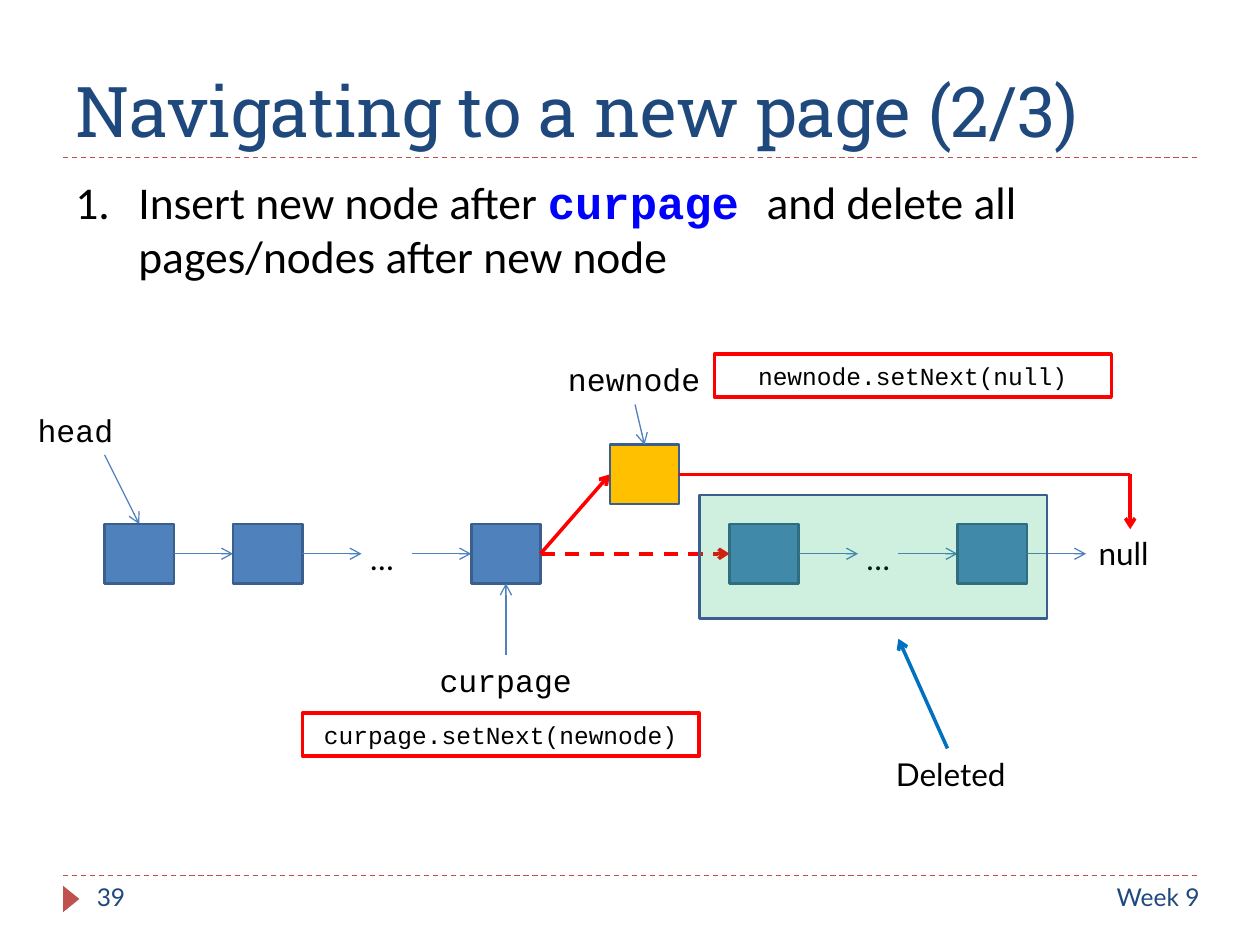
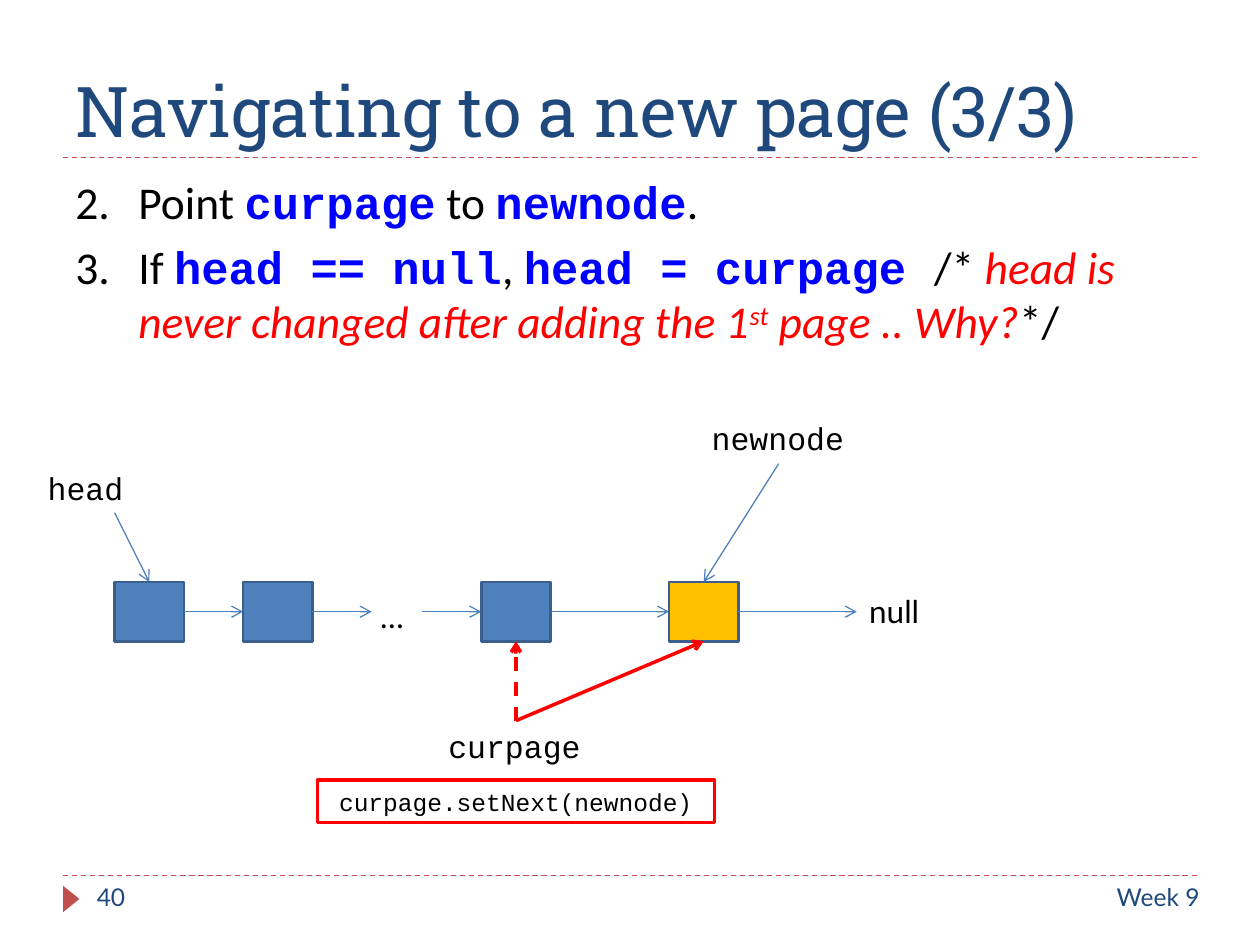
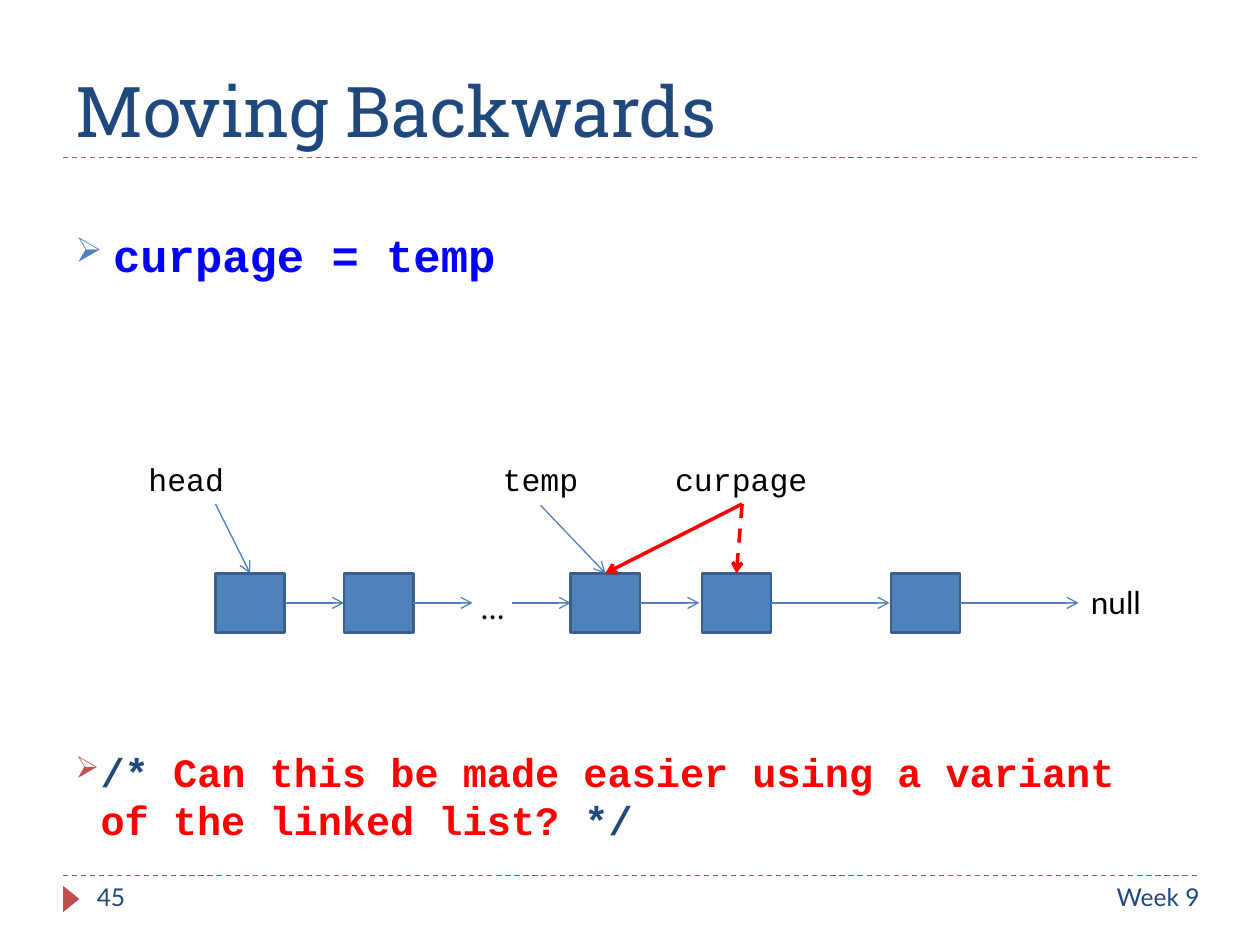
from dataclasses import dataclass

from lxml.etree import SubElement
from pptx import Presentation
from pptx.dml.color import RGBColor
from pptx.enum.dml import MSO_LINE
from pptx.enum.shapes import MSO_CONNECTOR, MSO_SHAPE
from pptx.enum.text import MSO_ANCHOR, MSO_AUTO_SIZE, PP_ALIGN
from pptx.oxml.ns import qn
from pptx.util import Inches, Pt


@dataclass(frozen=True)
class Theme:
    # Colours
    navy: str = "1F497D"
    brick: str = "C0504D"
    blue: str = "4F81BD"
    outline: str = "3A5F8C"
    amber: str = "FFC000"
    green: str = "00B050"
    sky: str = "0070C0"
    red: str = "FF0000"
    code_blue: str = "0000FF"
    black: str = "000000"
    # Fonts
    title_font: str = "Roboto Slab"
    body_font: str = "Calibri"
    code_font: str = "Courier New"
    label_font: str = "Lato"
    # Type sizes
    title_size: int = 40
    body_size: int = 26
    question_size: int = 23
    label_size: int = 18
    small_size: int = 14


THEME = Theme()
NODE_WIDTH, NODE_HEIGHT = 0.55, 0.47
MIDDLE = NODE_HEIGHT / 2
GAP = 0.47          # short arrow between neighbouring nodes
LONG_GAP = 0.94
LABEL_WIDTH, LABEL_HEIGHT = 1.26, 0.4


# ---- Text -------------------------------------------------------------

def add_run(paragraph, text, font, size, color, bold=False, italic=False,
            superscript=False):
    run = paragraph.add_run()
    run.text = text
    run.font.name = font
    run.font.size = Pt(size)
    run.font.bold = bold
    run.font.italic = italic
    run.font.color.rgb = RGBColor.from_string(color)
    if superscript:
        run._r.get_or_add_rPr().set("baseline", "30000")


def add_plain(paragraph, text, **options):
    style = {"color": THEME.black, "size": THEME.body_size, **options}
    add_run(paragraph, text, THEME.body_font, **style)


def add_code(paragraph, text, color=THEME.code_blue, size=THEME.body_size):
    add_run(paragraph, text, THEME.code_font, size, color, bold=True)


def add_text_box(slide, left, top, width, height, align=PP_ALIGN.LEFT):
    box = slide.shapes.add_textbox(Inches(left), Inches(top), Inches(width), Inches(height))
    box.text_frame.word_wrap = True
    box.text_frame.paragraphs[0].alignment = align
    return box.text_frame


def add_label(slide, text, left, top, width=LABEL_WIDTH, font=THEME.code_font,
              align=PP_ALIGN.LEFT):
    frame = add_text_box(slide, left, top, width, LABEL_HEIGHT, align)
    frame.auto_size = MSO_AUTO_SIZE.SHAPE_TO_FIT_TEXT
    add_run(frame.paragraphs[0], text, font, THEME.label_size, THEME.black)


def indent_paragraph(paragraph, indent, space_before):
    paragraph.space_before = Pt(space_before)
    properties = paragraph._p.get_or_add_pPr()
    properties.set("marL", str(Inches(indent)))
    properties.set("indent", str(-Inches(indent)))
    return properties


def number_paragraph(paragraph, start):
    properties = indent_paragraph(paragraph, 0.5, 6)
    SubElement(properties, qn("a:buFont"), typeface=THEME.body_font)
    SubElement(properties, qn("a:buAutoNum"), type="arabicPeriod", startAt=str(start))


def bullet_paragraph(paragraph, indent, space_before, color):
    properties = indent_paragraph(paragraph, indent, space_before)
    bullet_color = SubElement(properties, qn("a:buClr"))
    SubElement(bullet_color, qn("a:srgbClr"), val=color)
    SubElement(properties, qn("a:buSzPct"), val="76000")
    SubElement(properties, qn("a:buChar"), char="➢")


# ---- Shapes and lines ---------------------------------------------------

def add_box(slide, left, top, width, height, fill=None, line=THEME.outline, weight=1.5,
            kind=MSO_SHAPE.RECTANGLE):
    shape = slide.shapes.add_shape(kind, Inches(left), Inches(top), Inches(width), Inches(height))
    shape.shadow.inherit = False
    if fill:
        shape.fill.solid()
        shape.fill.fore_color.rgb = RGBColor.from_string(fill)
    else:
        shape.fill.background()
    if line:
        shape.line.color.rgb = RGBColor.from_string(line)
        shape.line.width = Pt(weight)
    else:
        shape.line.fill.background()
    return shape


def add_node(slide, left, top, fill=THEME.blue):
    add_box(slide, left, top, NODE_WIDTH, NODE_HEIGHT, fill)


def add_line(slide, start, end, color=THEME.blue, weight=0.75, dashed=False, arrow=True):
    line = slide.shapes.add_connector(
        MSO_CONNECTOR.STRAIGHT, *(Inches(value) for value in (*start, *end)))
    line.line.color.rgb = RGBColor.from_string(color)
    line.line.width = Pt(weight)
    if dashed:
        line.line.dash_style = MSO_LINE.DASH
    if arrow:
        SubElement(line.line._get_or_add_ln(), qn("a:tailEnd"), type="arrow")
    SubElement(line._element.spPr, qn("a:effectLst"))


def add_change(slide, start, end, color=THEME.red, **options):
    """Heavy arrow for a link that changes."""
    add_line(slide, start, end, color, 2, **options)


def add_call(slide, text, left, top):
    """Red frame around one line of code."""
    shape = add_box(slide, left, top, 3.15, 0.34, line=THEME.red, weight=2)
    frame = shape.text_frame
    frame.word_wrap = True
    frame.auto_size = MSO_AUTO_SIZE.SHAPE_TO_FIT_TEXT
    paragraph = frame.paragraphs[0]
    paragraph.alignment = PP_ALIGN.CENTER
    add_run(paragraph, text, THEME.code_font, THEME.small_size, THEME.black)


# ---- Linked list parts -----------------------------------------------------

def add_link(slide, left, top, length=GAP):
    """Arrow leaving the right side of the node at left, top."""
    start = left + NODE_WIDTH
    add_line(slide, (start, top + MIDDLE), (start + length, top + MIDDLE))


def add_elided_pair(slide, left, top, next_left):
    """Two nodes with an ellipsis between them."""
    add_node(slide, left, top)
    add_link(slide, left, top)
    add_label(slide, "…", left + 0.47, top + 0.07, 1.42, THEME.label_font, PP_ALIGN.CENTER)
    add_link(slide, next_left - GAP - NODE_WIDTH, top)
    add_node(slide, next_left, top)


def add_list_start(slide, left, top, third_left):
    """Head label, first two nodes, ellipsis and the next node."""
    second_left = left + NODE_WIDTH + GAP
    add_label(slide, "head", left - 0.63, top - 0.95)
    add_line(slide, (left, top - 0.55), (left + NODE_WIDTH / 2, top))
    add_node(slide, left, top)
    add_link(slide, left, top)
    add_elided_pair(slide, second_left, top, third_left)


def add_list_end(slide, left, top, length):
    """Arrow from the last node to null."""
    add_link(slide, left, top, length)
    add_label(slide, "null", left + NODE_WIDTH + length, top + 0.03, 0.69, THEME.label_font)


# ---- Slide frame ----------------------------------------------------------

def add_frame(presentation, title, number):
    slide = presentation.slides.add_slide(presentation.slide_layouts[6])
    # Rules and footer marker
    for height in (6.95, 1.25):
        add_line(slide, (0.5, height), (9.5, height), THEME.brick, dashed=True, arrow=False)
    marker = add_box(slide, 0.46, 7.07, 0.21, 0.13, THEME.brick, None,
                     kind=MSO_SHAPE.ISOSCELES_TRIANGLE)
    marker.rotation = 90
    # Title
    frame = add_text_box(slide, 0.5, 0.17, 9, 1.08)
    frame.vertical_anchor = MSO_ANCHOR.BOTTOM
    add_run(frame.paragraphs[0], title, THEME.title_font, THEME.title_size, THEME.navy)
    # Footer
    for text, left, width, align in ((number, 0.67, 2.17, PP_ALIGN.LEFT),
                                     ("Week 9", 5.79, 3.83, PP_ALIGN.RIGHT)):
        footer = add_text_box(slide, left, 6.95, width, 0.4, align)
        add_run(footer.paragraphs[0], text, THEME.label_font, THEME.small_size, THEME.navy)
    return slide


# ---- Inserting the new node -------------------------------------------------

def draw_insertion(slide, left, top):
    middle = top + MIDDLE
    current, new, first_deleted, last = (left + x for x in (2.91, 4.01, 4.96, 6.77))
    new_top = top - 0.63
    new_middle = new_top + MIDDLE
    null_center = left + 8.14

    # Existing list
    add_list_start(slide, left, top, current)
    add_elided_pair(slide, first_deleted, top, last)
    add_list_end(slide, last, top, GAP)
    add_label(slide, "curpage", left + 2.56, top + 1.04)
    add_line(slide, (current + NODE_WIDTH / 2, top + 1.04),
             (current + NODE_WIDTH / 2, top + NODE_HEIGHT))

    # New node and changed links
    add_node(slide, new, new_top, THEME.amber)
    add_label(slide, "newnode", left + 3.58, top - 1.35)
    add_line(slide, (left + 4.21, top - 0.95), (new + NODE_WIDTH / 2, new_top))
    add_change(slide, (current + NODE_WIDTH, middle), (new, new_middle))
    add_change(slide, (current + NODE_WIDTH, middle), (first_deleted, middle), dashed=True)
    add_change(slide, (new + NODE_WIDTH, new_middle), (null_center, new_middle), arrow=False)
    add_change(slide, (null_center, new_middle), (null_center, top + 0.04))

    # Deleted part
    cover = add_box(slide, left + 4.72, top - 0.23, 2.76, 0.98, THEME.green)
    color = cover.fill._xPr.find(qn("a:solidFill")).find(qn("a:srgbClr"))
    SubElement(color, qn("a:alpha"), val="19000")
    add_change(slide, (left + 6.69, top + 1.78), (left + 6.3, top + 0.91), THEME.sky)
    add_label(slide, "Deleted", left + 6.11, top + 1.78, 1.21, THEME.label_font,
              PP_ALIGN.CENTER)

    # Calls
    add_call(slide, "curpage.setNext(newnode)", left + 1.57, top + 1.5)
    add_call(slide, "newnode.setNext(null)", left + 4.84, top - 1.35)


def build_insertion_slide(presentation):
    slide = add_frame(presentation, "Navigating to a new page (2/3)", "39")
    paragraph = add_text_box(slide, 0.5, 1.33, 9, 5.4).paragraphs[0]
    number_paragraph(paragraph, 1)
    add_plain(paragraph, "Insert new node after ")
    add_code(paragraph, "curpage ")
    add_plain(paragraph, "and delete all pages/nodes after new node")
    draw_insertion(slide, 0.83, 4.16)


# ---- Moving curpage to the new node ---------------------------------------------

def draw_advance(slide, left, top):
    current, new = left + 2.91, left + 4.4
    bottom = top + NODE_HEIGHT
    pointer = (current + NODE_WIDTH / 2, top + 1.1)

    # List with the new node
    add_list_start(slide, left, top, current)
    add_link(slide, current, top, LONG_GAP)
    add_node(slide, new, top, THEME.amber)
    add_list_end(slide, new, top, LONG_GAP)
    add_label(slide, "newnode", left + 4.64, top - 1.34)
    add_line(slide, (left + 5.27, top - 0.94), (new + NODE_WIDTH / 2, top))

    # Moving pointer
    add_label(slide, "curpage", left + 2.55, top + 1.1)
    add_change(slide, pointer, (new + NODE_WIDTH / 2, bottom))
    add_change(slide, pointer, (current + NODE_WIDTH / 2, bottom), dashed=True)
    add_call(slide, "curpage.setNext(newnode)", left + 1.61, top + 1.57)


def build_advance_slide(presentation):
    slide = add_frame(presentation, "Navigating to a new page (3/3)", "40")
    frame = add_text_box(slide, 0.5, 1.33, 9, 5.4)
    point, condition = frame.paragraphs[0], frame.add_paragraph()
    for paragraph in (point, condition):
        number_paragraph(paragraph, 2)
    add_plain(point, "Point ")
    add_code(point, "curpage")
    add_plain(point, " to ")
    add_code(point, "newnode")
    add_plain(point, ".")

    comment = {"color": THEME.red, "italic": True}
    add_plain(condition, "If ")
    add_code(condition, "head == null")
    add_plain(condition, ", ")
    add_code(condition, "head = curpage ")
    add_plain(condition, "/* ")
    add_plain(condition, "head is never changed after adding the 1", **comment)
    add_plain(condition, "st", superscript=True, **comment)
    add_plain(condition, " page .. Why?", **comment)
    add_plain(condition, "*/")
    draw_advance(slide, 0.91, 4.62)


# ---- Moving curpage back -----------------------------------------------------------

def draw_backward_move(slide, left, top):
    previous, current, last = (left + x for x in (2.82, 3.86, 5.36))
    target = (previous + NODE_WIDTH / 2, top)
    pointer = (left + 4.18, top - 0.55)

    # List
    add_list_start(slide, left, top, previous)
    add_link(slide, previous, top)
    add_node(slide, current, top)
    add_link(slide, current, top, LONG_GAP)
    add_node(slide, last, top)
    add_list_end(slide, last, top, LONG_GAP)

    # Pointers
    add_label(slide, "temp", left + 1.95, top - 0.95, align=PP_ALIGN.CENTER)
    add_line(slide, (left + 2.58, top - 0.54), target)
    add_label(slide, "curpage", left + 3.55, top - 0.95)
    add_change(slide, pointer, target)
    add_change(slide, pointer, (current + NODE_WIDTH / 2, top), dashed=True)


def build_backward_slide(presentation):
    slide = add_frame(presentation, "Moving Backwards", "45")
    frame = add_text_box(slide, 0.5, 1.75, 9, 5.62)
    statement, question = frame.paragraphs[0], frame.add_paragraph()
    bullet_paragraph(statement, 0.3, 6, THEME.blue)
    add_code(statement, "curpage = temp")
    # The diagram stands between the two paragraphs
    bullet_paragraph(question, 0.2, 266, THEME.brick)
    for text, color in (
            ("/* ", THEME.navy),
            ("Can this be made easier using a variant of the linked list?", THEME.red),
            (" */", THEME.navy)):
        add_code(question, text, color, THEME.question_size)
    draw_backward_move(slide, 1.71, 4.55)


presentation = Presentation()
presentation.slide_width = Inches(10)
presentation.slide_height = Inches(7.5)
build_insertion_slide(presentation)
build_advance_slide(presentation)
build_backward_slide(presentation)
presentation.save("out.pptx")
